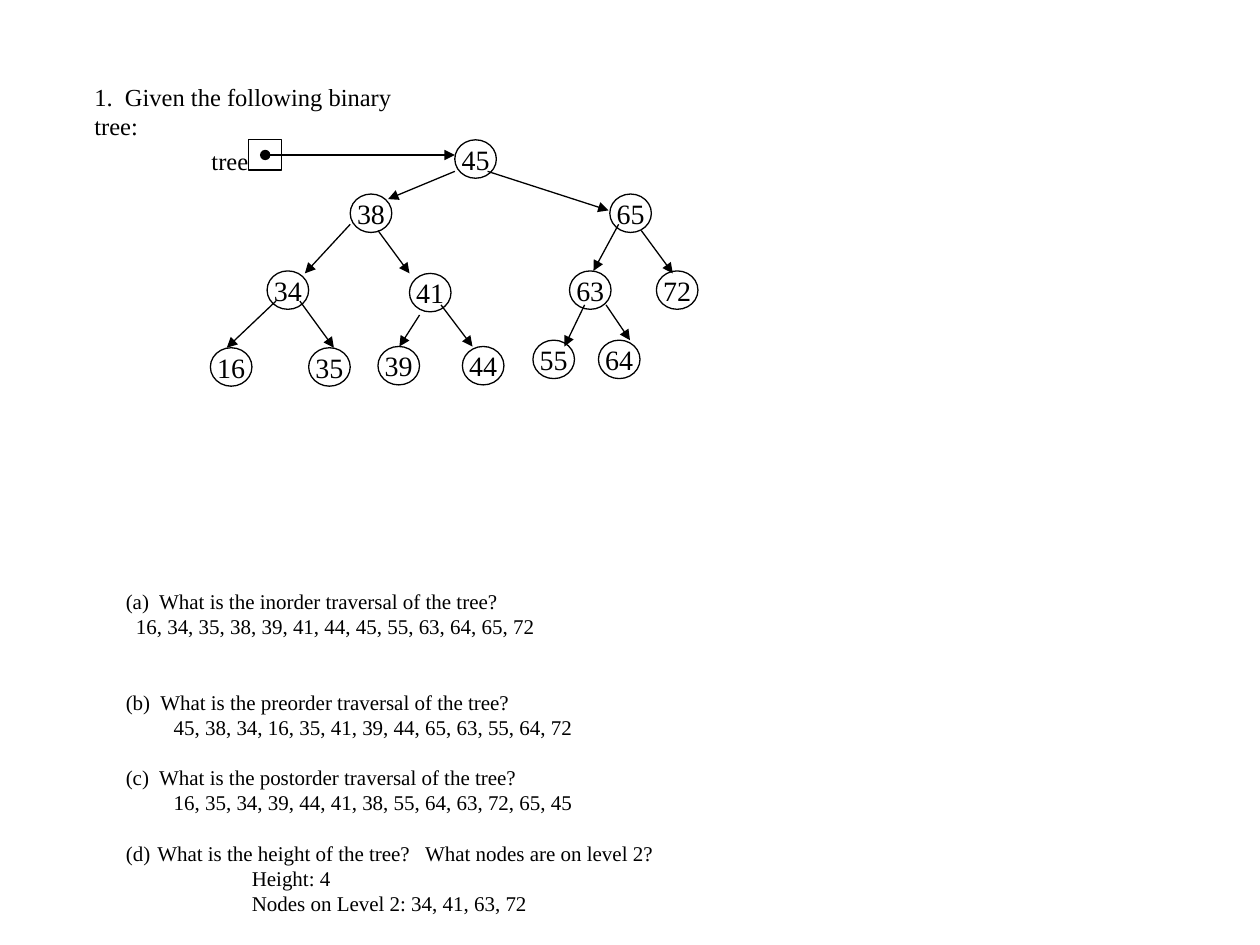
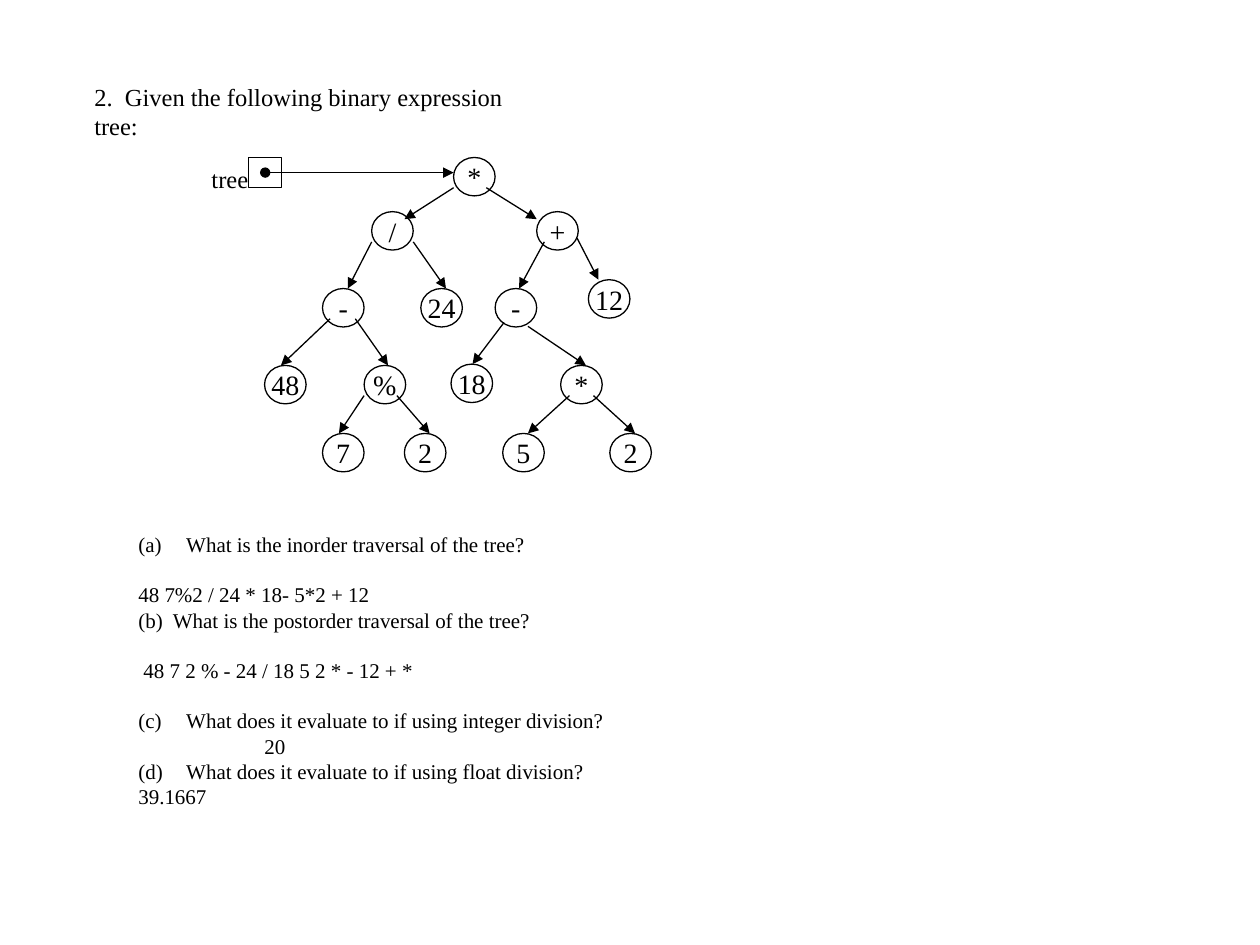
from lxml import etree
from pptx import Presentation
from pptx.dml.color import RGBColor
from pptx.enum.shapes import MSO_CONNECTOR, MSO_SHAPE
from pptx.enum.text import MSO_ANCHOR, PP_ALIGN
from pptx.oxml.ns import qn
from pptx.util import Inches, Pt

BLACK = RGBColor(0, 0, 0)
FONT = "Times New Roman"
OVAL, RECT = MSO_SHAPE.OVAL, MSO_SHAPE.RECTANGLE
STRAIGHT = MSO_CONNECTOR.STRAIGHT
MIDDLE, CENTER = MSO_ANCHOR.MIDDLE, PP_ALIGN.CENTER
TITLE_SIZE, BODY_SIZE, NODE_SIZE = 14, 12, 16
LINE = 14.4                       # height of one body line, points
NODE_W, NODE_H = 0.33, 0.305
BOX_W, BOX_H = 0.26, 0.24         # the pointer box beside the root
BOX_LEFT, LABEL_LEFT = 1.975, 1.58

# Each node: label, left, top, then start and end of the arrow into it.
# Each line of text: words, then left indent, blank lines before,
# and the number of an automatic "(a)" label.
EXERCISES = [
    dict(
        title="1.  Given the following binary tree:", title_width=2.95,
        root=("45", 3.61, 1.11),
        nodes=[
            ("38", 2.78, 1.54, (3.61, 1.36), (3.08, 1.58)),
            ("65", 4.84, 1.54, (3.87, 1.36), (4.83, 1.67)),
            ("34", 2.12, 2.15, (2.78, 1.78), (2.42, 2.17)),
            ("41", 3.25, 2.17, (3.00, 1.83), (3.25, 2.17)),
            ("63", 4.52, 2.15, (4.91, 1.78), (4.71, 2.15)),
            ("72", 5.21, 2.15, (5.09, 1.83), (5.34, 2.17)),
            ("16", 1.67, 2.76, (2.19, 2.39), (1.80, 2.76)),
            ("35", 2.45, 2.76, (2.38, 2.39), (2.65, 2.76)),
            ("39", 3.00, 2.75, (3.33, 2.50), (3.17, 2.75)),
            ("44", 3.67, 2.75, (3.50, 2.42), (3.75, 2.75)),
            ("55", 4.23, 2.70, (4.64, 2.42), (4.48, 2.75)),
            ("64", 4.75, 2.70, (4.81, 2.42), (5.00, 2.70)),
        ],
        body_at=(0.9, 4.62, 4.45, 2.73),
        body=[
            ("(a)  What is the inorder traversal of the tree?", 0, 0, None),
            ("16, 34, 35, 38, 39, 41, 44, 45, 55, 63, 64, 65, 72", 0.08, 0, None),
            ("(b)  What is the preorder traversal of the tree?", 0, 2, None),
            ("45, 38, 34, 16, 35, 41, 39, 44, 65, 63, 55, 64, 72", 0.38, 0, None),
            ("(c)  What is the postorder traversal of the tree?", 0, 1, None),
            ("16, 35, 34, 39, 44, 41, 38, 55, 64, 63, 72, 65, 45", 0.38, 0, None),
            ("What is the height of the tree?   What nodes are on level 2?", 0.25, 1, 4),
            ("Height: 4", 1, 0, None),
            ("Nodes on Level 2: 34, 41, 63, 72", 1, 0, None),
        ],
    ),
    dict(
        title="2.  Given the following binary expression tree:", title_width=3.83,
        root=("*", 3.6, 1.25),
        nodes=[
            ("/", 2.95, 1.68, (3.60, 1.49), (3.21, 1.74)),
            ("+", 4.26, 1.68, (3.86, 1.49), (4.26, 1.74)),
            ("-", 2.56, 2.29, (2.95, 1.92), (2.76, 2.29)),
            ("24", 3.34, 2.29, (3.28, 1.92), (3.54, 2.29)),
            ("-", 3.93, 2.29, (4.32, 1.92), (4.12, 2.29)),
            ("12", 4.67, 2.22, (4.58, 1.89), (4.75, 2.22)),
            ("48", 2.10, 2.90, (2.62, 2.53), (2.23, 2.90)),
            ("%", 2.89, 2.90, (2.82, 2.53), (3.08, 2.90)),
            ("18", 3.58, 2.89, (4.00, 2.56), (3.75, 2.89)),
            ("*", 4.45, 2.90, (4.19, 2.59), (4.65, 2.90)),
            ("7", 2.56, 3.44, (2.89, 3.14), (2.69, 3.44)),
            ("2", 3.21, 3.44, (3.15, 3.14), (3.41, 3.44)),
            ("5", 3.99, 3.44, (4.52, 3.14), (4.19, 3.44)),
            ("2", 4.84, 3.44, (4.71, 3.14), (5.04, 3.44)),
        ],
        body_at=(1, 4.17, 3.94, 2.73),
        body=[
            ("What is the inorder traversal of the tree?", 0.38, 0, 1),
            ("48 7%2 / 24 * 18- 5*2 + 12", 0, 1, None),
            ("(b)  What is the postorder traversal of the tree?", 0, 0, None),
            ("48 7 2 % - 24 / 18 5 2 * - 12 + *", 0.04, 1, None),
            ("What does it evaluate to if using integer division?", 0.38, 1, 3),
            ("20", 1, 0, None),
            ("What does it evaluate to if using float division?", 0.38, 0, 4),
            ("39.1667", 0, 0, None),
        ],
    ),
]


def write(p, text, size):
    r = p.add_run()
    r.text = text
    for name, value in dict(name=FONT, size=Pt(size)).items():
        setattr(r.font, name, value)
    r.font.color.rgb = BLACK


def add_text(slide, at, lines, size, wrap=True):
    tf = slide.shapes.add_textbox(*map(Inches, at)).text_frame
    tf.word_wrap = wrap
    for i, (text, indent, blanks, number) in enumerate(lines):
        p = tf.add_paragraph() if i else tf.paragraphs[0]
        p.line_spacing = Pt(LINE * size / BODY_SIZE)
        p.space_before = Pt(LINE * blanks)
        pPr = p._p.get_or_add_pPr()
        pPr.set("marL", str(Inches(indent)))
        pPr.set("indent", str(-Inches(indent) if number else 0))
        if number:
            etree.SubElement(pPr, qn("a:buAutoNum"),
                             type="alphaLcParenBoth", startAt=str(number))
        write(p, text, size)


def add_outline(slide, kind, *at):
    sp = slide.shapes.add_shape(kind, *map(Inches, at))
    sp.shadow.inherit = False
    sp.fill.background()
    sp.line.color.rgb = BLACK
    sp.line.width = Pt(0.75)
    return sp


def add_node(slide, label, left, top):
    tf = add_outline(slide, OVAL, left, top, NODE_W, NODE_H).text_frame
    tf.word_wrap = False
    tf.vertical_anchor = MIDDLE
    tf.paragraphs[0].alignment = CENTER
    write(tf.paragraphs[0], label, NODE_SIZE)


def add_arrow(slide, start, end, head=None):
    line = slide.shapes.add_connector(STRAIGHT, *map(Inches, start + end))
    line.line.color.rgb = BLACK
    line.line.width = Pt(0.75)
    ln = line.line._get_or_add_ln()
    if head:
        etree.SubElement(ln, qn("a:headEnd"), type=head)
    etree.SubElement(ln, qn("a:tailEnd"), type="triangle")
    etree.SubElement(line._element.spPr, qn("a:effectLst"))


prs = Presentation()
prs.slide_width, prs.slide_height = Inches(10), Inches(7.5)

for ex in EXERCISES:
    slide = prs.slides.add_slide(prs.slide_layouts[6])

    # Question and its parts
    add_text(slide, (0.65, 0.6, ex["title_width"], 0.33),
             [(ex["title"], 0, 0, None)], TITLE_SIZE)
    add_text(slide, ex["body_at"], ex["body"], BODY_SIZE)

    # Pointer to the root
    _, left, top = ex["root"]
    middle = top + BOX_H / 2
    add_outline(slide, RECT, BOX_LEFT, top, BOX_W, BOX_H)
    add_text(slide, (LABEL_LEFT, top, 0.49, 0.33),
             [("tree", 0, 0, None)], TITLE_SIZE, wrap=False)
    add_arrow(slide, (BOX_LEFT + BOX_W / 2, middle), (left, middle), "oval")

    # Tree
    add_node(slide, *ex["root"])
    for label, left, top, start, end in ex["nodes"]:
        add_node(slide, label, left, top)
        add_arrow(slide, start, end)

prs.save("out.pptx")
